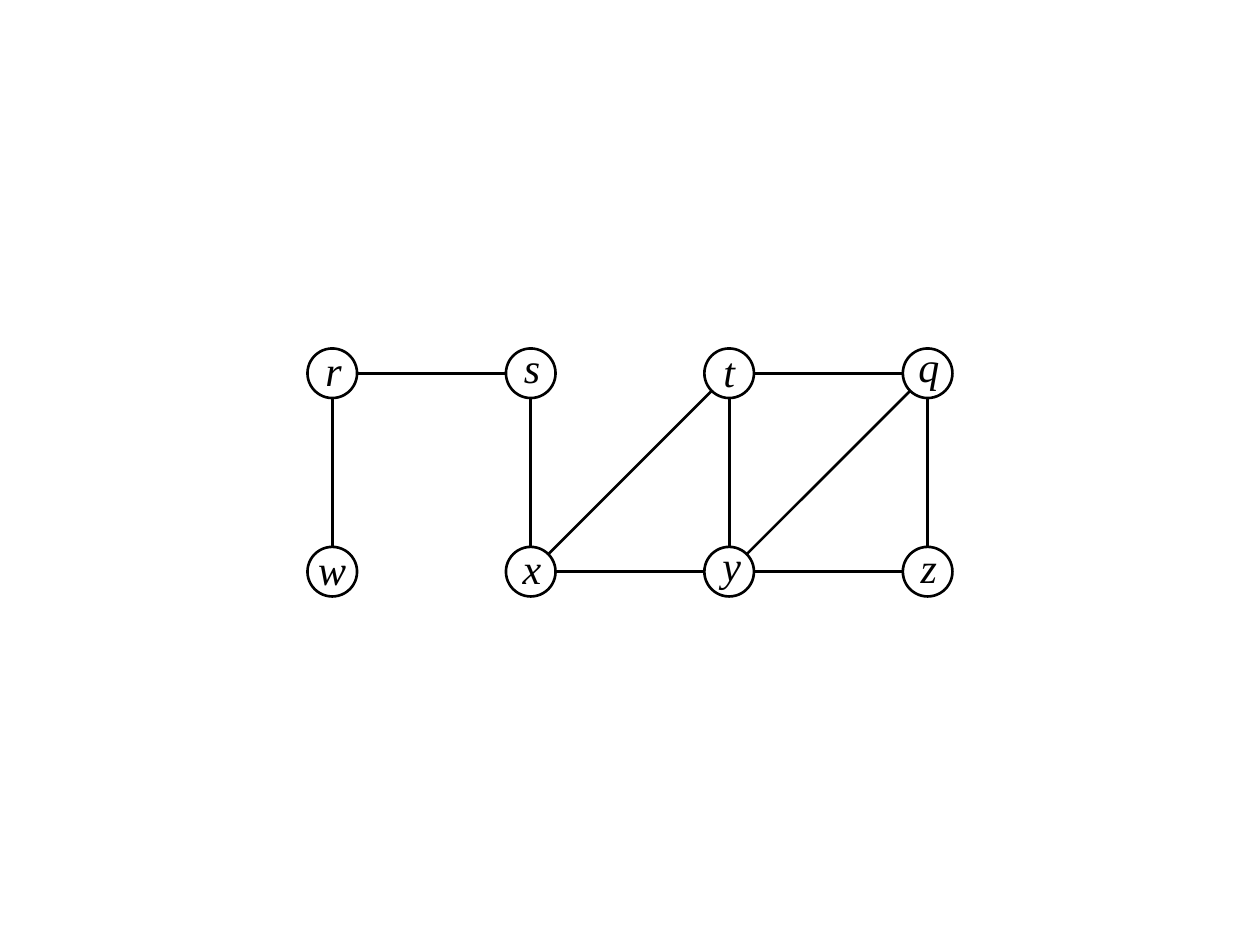
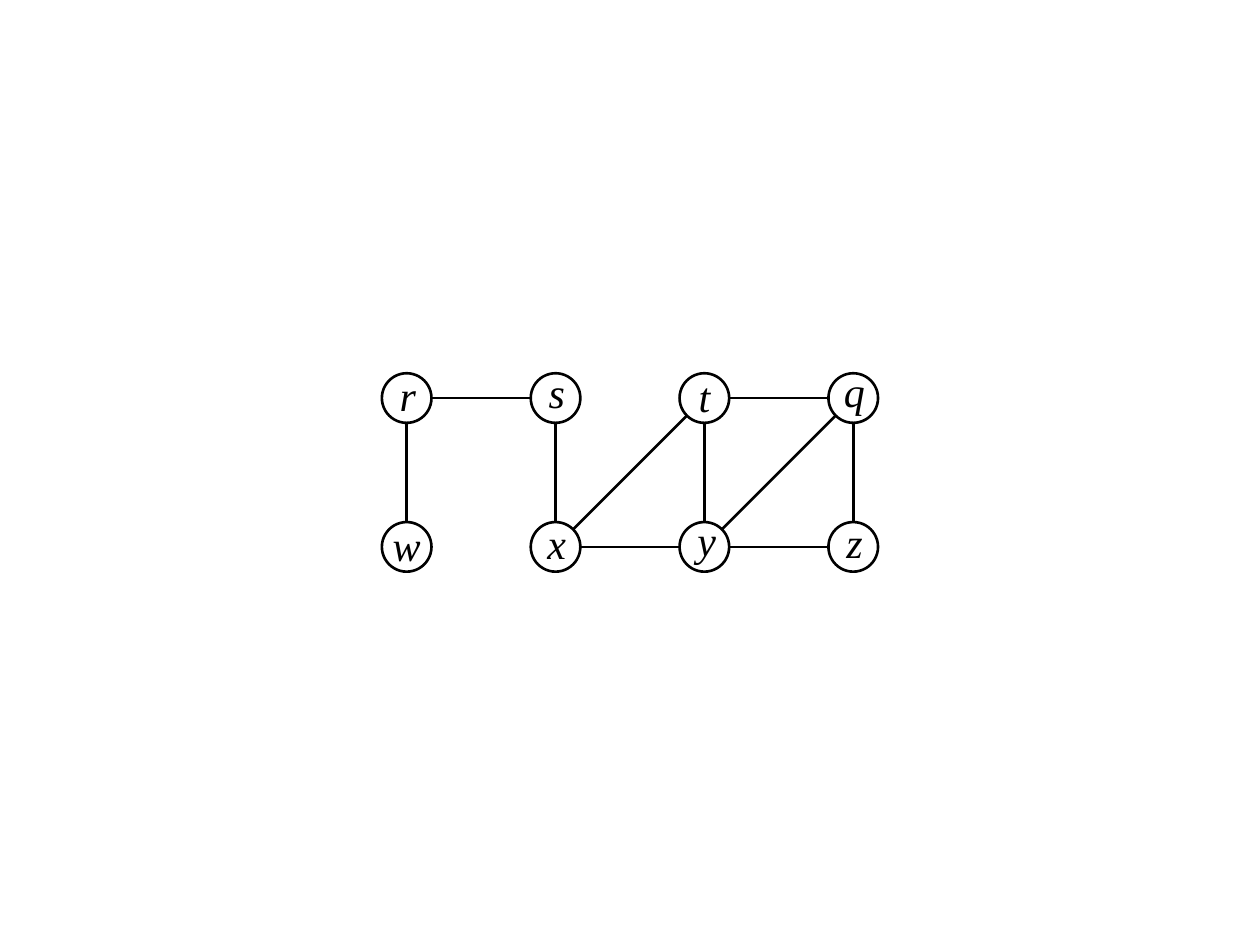
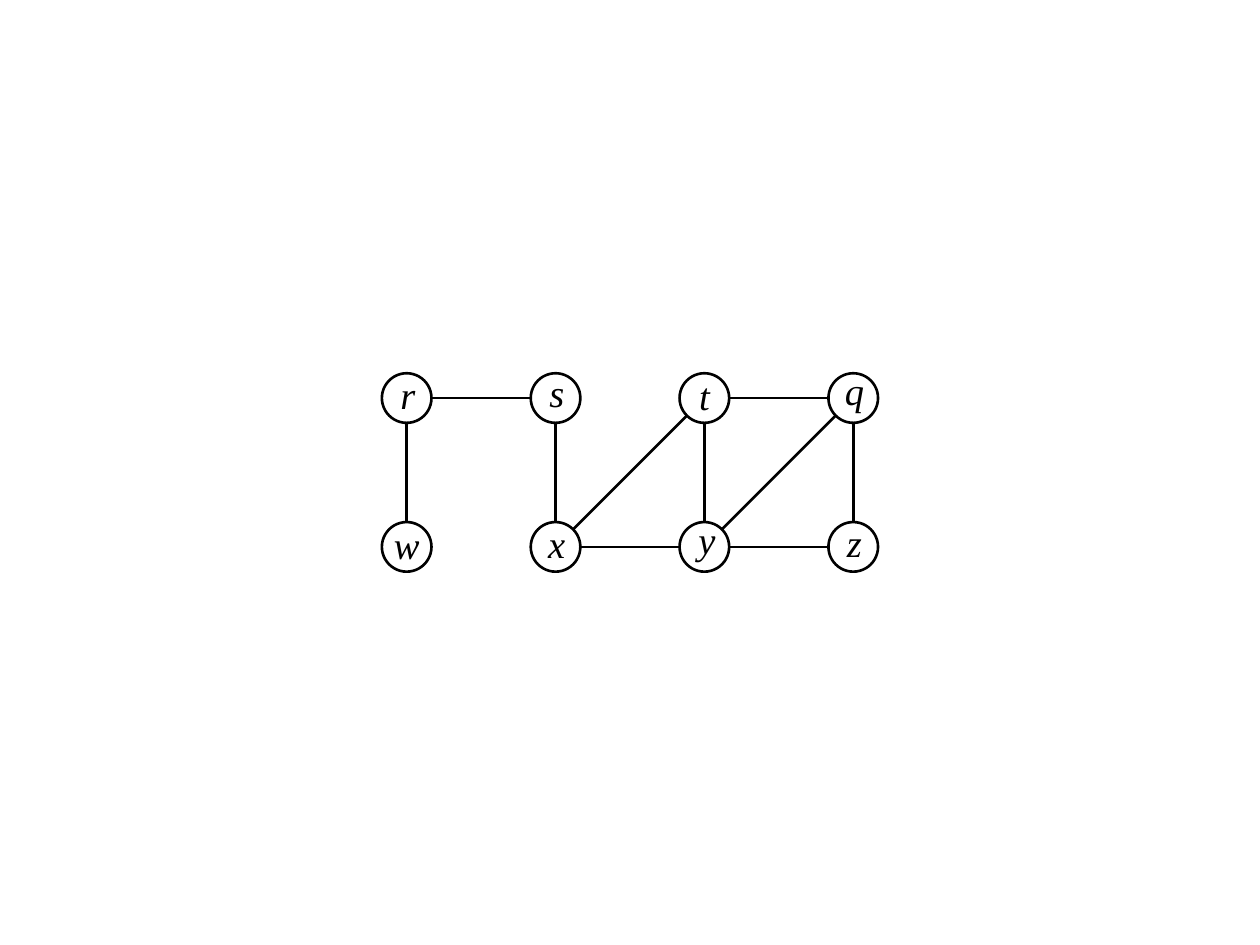
from dataclasses import dataclass
from math import hypot

from lxml import etree
from pptx import Presentation
from pptx.dml.color import RGBColor
from pptx.enum.shapes import MSO_CONNECTOR, MSO_SHAPE
from pptx.enum.text import MSO_ANCHOR, PP_ALIGN
from pptx.oxml.ns import qn
from pptx.util import Pt

OVAL = MSO_SHAPE.OVAL
STRAIGHT = MSO_CONNECTOR.STRAIGHT
MIDDLE, BOTTOM = MSO_ANCHOR.MIDDLE, MSO_ANCHOR.BOTTOM
CENTER = PP_ALIGN.CENTER

SLIDE_WIDTH, SLIDE_HEIGHT = 720, 540
DIAMETER = 28.35
RADIUS = DIAMETER / 2
LEFT_INSET = 7.2


@dataclass(frozen=True)
class Theme:
    ink: RGBColor = RGBColor(0, 0, 0)
    paper: RGBColor = RGBColor(255, 255, 255)
    font: str = "Times New Roman"
    large: int = 24
    small: int = 22
    stroke: float = 1.5


THEME = Theme()

# The graph: vertices in rows, and edges as pairs of vertices
ROWS = ["rstq", "wxyz"]
EDGES = ["yq", "xt", "xs", "yt", "zq", "yz", "tq", "xy", "rs", "wr"]

# Top, right and bottom insets that centre each letter optically
LETTER_INSETS = {
    "r": (0, 5.67, 4.25),
    "s": (0, 5.67, 7.09),
    "t": (2.83, 7.2, 5.67),
    "q": (0, 5.67, 0),
    "w": (0, 7.2, 2.83),
    "x": (0, 5.67, 4.25),
    "y": (0, 4.25, 8.5),
    "z": (0, 5.67, 5.67),
}
SMALL_LETTER_INSETS = LETTER_INSETS | {"q": (0, 5.67, 1.42)}


def vertex_centers(spacing):
    """Centre the grid of vertices on the slide."""
    left = (SLIDE_WIDTH - spacing * (len(ROWS[0]) - 1)) / 2
    top = (SLIDE_HEIGHT - spacing * (len(ROWS) - 1)) / 2
    return {
        letter: (left + column * spacing, top + row * spacing)
        for row, letters in enumerate(ROWS)
        for column, letter in enumerate(letters)
    }


def style_line(line):
    line.color.rgb = THEME.ink
    line.width = Pt(THEME.stroke)


def add_vertex(slide, letter, center, size, insets):
    x, y = center
    vertex = slide.shapes.add_shape(
        OVAL, Pt(x - RADIUS), Pt(y - RADIUS), Pt(DIAMETER), Pt(DIAMETER))
    vertex.shadow.inherit = False
    vertex.fill.solid()
    vertex.fill.fore_color.rgb = THEME.paper
    style_line(vertex.line)

    # Letter
    frame = vertex.text_frame
    frame.word_wrap = False
    frame.vertical_anchor = BOTTOM if letter == "q" else MIDDLE
    frame.margin_left = Pt(LEFT_INSET)
    frame.margin_top, frame.margin_right, frame.margin_bottom = map(Pt, insets)
    frame.text = letter
    paragraph = frame.paragraphs[0]
    paragraph.alignment = CENTER
    font = paragraph.runs[0].font
    font.name = THEME.font
    font.size = Pt(size)
    font.italic = True
    font.color.rgb = THEME.ink


def add_edge(slide, start, end):
    """Draw an edge from rim to rim of two vertices."""
    (x1, y1), (x2, y2) = start, end
    share = RADIUS / hypot(x2 - x1, y2 - y1)
    dx, dy = (x2 - x1) * share, (y2 - y1) * share
    edge = slide.shapes.add_connector(
        STRAIGHT, Pt(x1 + dx), Pt(y1 + dy), Pt(x2 - dx), Pt(y2 - dy))
    style_line(edge.line)
    etree.SubElement(edge._element.spPr, qn("a:effectLst"))


def add_graph_slide(prs, spacing, size, letter_insets):
    slide = prs.slides.add_slide(prs.slide_layouts[6])
    centers = vertex_centers(spacing)
    for letter, center in centers.items():
        add_vertex(slide, letter, center, size, letter_insets[letter])
    for start, end in EDGES:
        add_edge(slide, centers[start], centers[end])


def main():
    prs = Presentation()
    prs.slide_width, prs.slide_height = Pt(SLIDE_WIDTH), Pt(SLIDE_HEIGHT)

    # Wide graph, compact graph, compact graph with smaller letters
    add_graph_slide(prs, 113.4, THEME.large, LETTER_INSETS)
    add_graph_slide(prs, 85.05, THEME.large, LETTER_INSETS)
    add_graph_slide(prs, 85.05, THEME.small, SMALL_LETTER_INSETS)

    prs.save("out.pptx")


if __name__ == "__main__":
    main()
